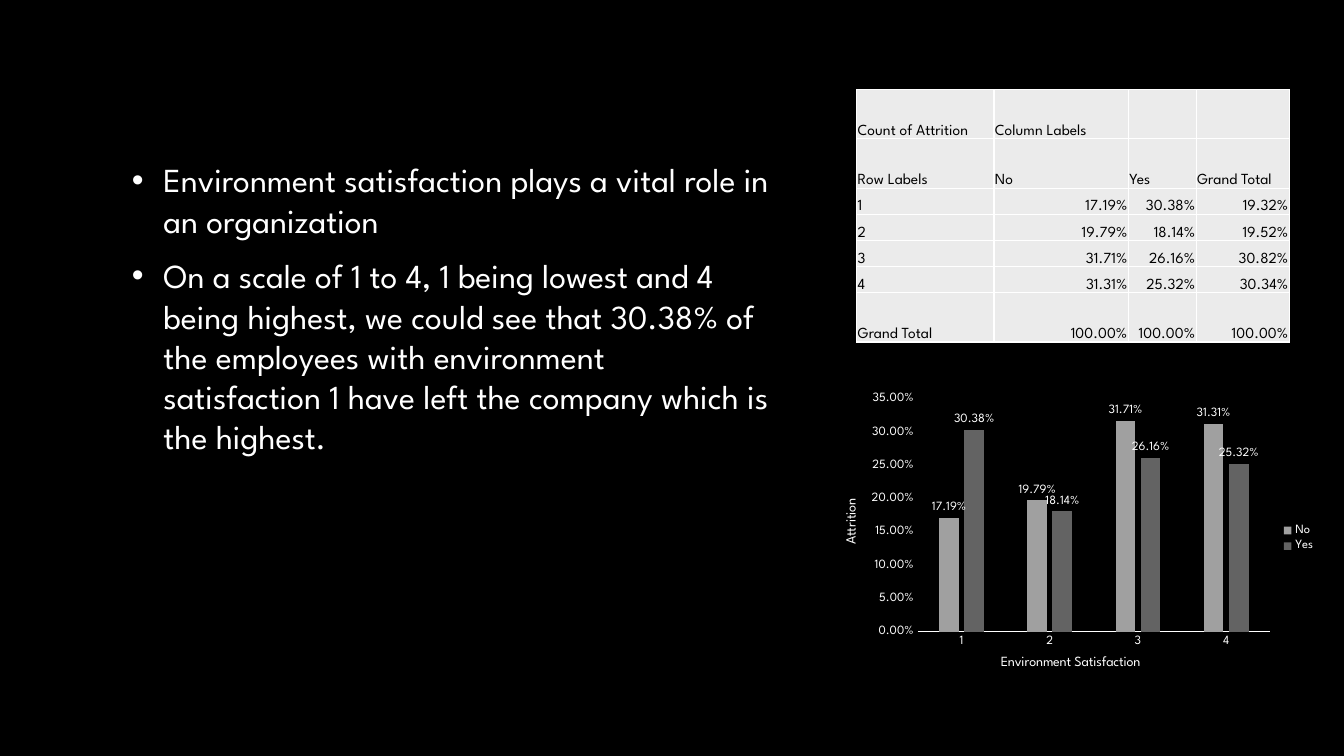
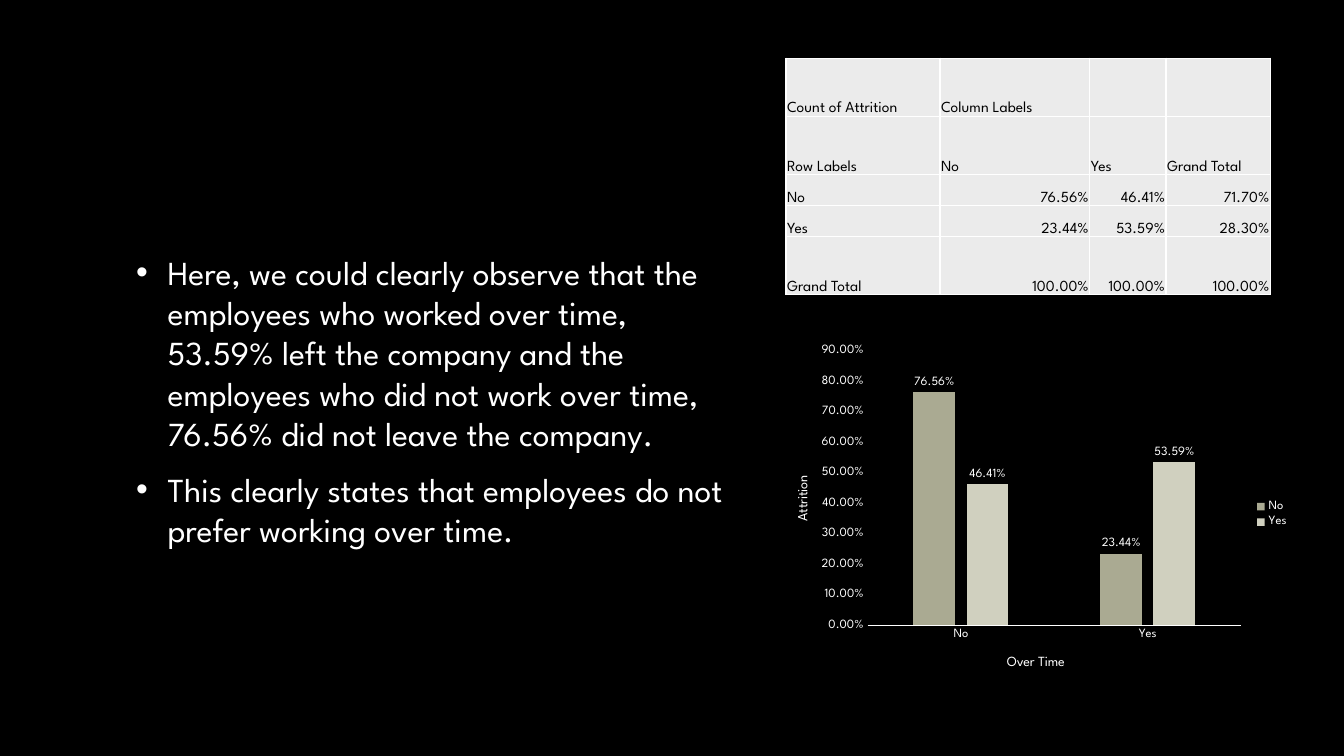
from lxml.etree import SubElement
from pptx import Presentation
from pptx.chart.data import CategoryChartData
from pptx.dml.color import RGBColor
from pptx.enum.chart import XL_CHART_TYPE as ChartType
from pptx.enum.chart import XL_LABEL_POSITION as LabelPosition
from pptx.enum.chart import XL_LEGEND_POSITION as LegendPosition
from pptx.enum.chart import XL_TICK_MARK as TickMark
from pptx.enum.text import MSO_ANCHOR as Anchor
from pptx.enum.text import MSO_AUTO_SIZE as AutoSize
from pptx.enum.text import PP_ALIGN as Align
from pptx.oxml import parse_xml
from pptx.oxml.ns import nsdecls, qn
from pptx.util import Pt

BLACK = RGBColor(0x00, 0x00, 0x00)
WHITE = RGBColor(0xFF, 0xFF, 0xFF)
CELL_GREY = RGBColor(0xEB, 0xEB, 0xEB)
MID_GREY = RGBColor(0xA0, 0xA0, 0xA0)
DARK_GREY = RGBColor(0x63, 0x63, 0x63)
OLIVE = RGBColor(0xAA, 0xAA, 0x92)
PALE_OLIVE = RGBColor(0xD0, 0xD0, 0xBF)

FONT = "League Spartan"
PERCENT = "0.00%"
ANSWERS = ("No", "Yes")


def place_in_chart(element, **fractions):
    """Fix a chart part's place as fractions of the chart frame."""
    layout = element.find(qn("c:layout"))
    if layout is None:
        layout = parse_xml(f"<c:layout {nsdecls('c')}/>")
        element.insert(0 if element.find(qn("c:tx")) is None else 1, layout)
    manual = SubElement(layout, qn("c:manualLayout"))
    if "w" in fractions:
        SubElement(manual, qn("c:layoutTarget"), val="inner")
    for side in "xy":
        SubElement(manual, qn(f"c:{side}Mode"), val="edge")
    for name, value in fractions.items():
        SubElement(manual, qn(f"c:{name}"), val=str(value))


def add_borders(cell):
    properties = cell._tc.get_or_add_tcPr()
    for side in "LRTB":
        line = SubElement(properties, qn(f"a:ln{side}"), w=str(Pt(1)))
        fill = SubElement(line, qn("a:solidFill"))
        SubElement(fill, qn("a:srgbClr"), val=str(WHITE))


class AttritionDeck:
    def __init__(self):
        self.deck = Presentation()
        self.deck.slide_width, self.deck.slide_height = Pt(960), Pt(540)
        self.slide = None

    def style(self, font, size, color=WHITE):
        font.name, font.size, font.bold = FONT, Pt(size), False
        font.color.rgb = color

    def add_slide(self):
        self.slide = self.deck.slides.add_slide(self.deck.slide_layouts[1])
        self.slide.background.fill.solid()
        self.slide.background.fill.fore_color.rgb = BLACK
        title = self.slide.shapes.title.element
        title.getparent().remove(title)

    def add_bullets(self, left, top, width, height, points):
        body = self.slide.placeholders[1]
        body.left, body.top = Pt(left), Pt(top)
        body.width, body.height = Pt(width), Pt(height)
        frame = body.text_frame
        frame.text = "\n".join(points)
        frame.auto_size = AutoSize.NONE
        frame.vertical_anchor = Anchor.MIDDLE
        for para in frame.paragraphs:
            self.style(para.font, 24)
            para.space_after = Pt(6)
            properties = para._p.get_or_add_pPr()
            properties.set("marL", str(Pt(22.5)))
            properties.set("indent", str(-Pt(22.5)))

    def add_cross_table(self, left, top, widths, tall, short, shares):
        """Add a pivot table; headings and total get tall rows, categories short ones."""
        rows = [("Count of Attrition", "Column Labels", "", ""),
                ("Row Labels", *ANSWERS, "Grand Total")]
        rows += [(label, *(f"{value:.2%}" for value in values))
                 for label, values in shares.items()]
        rows.append(("Grand Total", *["100.00%"] * 3))
        heights = [tall, tall] + [short] * len(shares) + [tall]

        table = self.slide.shapes.add_table(
            len(rows), len(widths), Pt(left), Pt(top),
            Pt(sum(widths)), Pt(sum(heights))).table
        table.first_row = table.horz_banding = False
        for column, width in zip(table.columns, widths):
            column.width = Pt(width)
        for row, height, texts in zip(table.rows, heights, rows):
            row.height = Pt(height)
            for cell, text in zip(row.cells, texts):
                self.fill_cell(cell, text)

    def fill_cell(self, cell, text):
        add_borders(cell)
        cell.fill.solid()
        cell.fill.fore_color.rgb = CELL_GREY
        cell.margin_left = cell.margin_right = cell.margin_top = Pt(0.7)
        cell.margin_bottom = 0
        cell.vertical_anchor = Anchor.BOTTOM
        cell.text = text
        para = cell.text_frame.paragraphs[0]
        para.alignment = Align.RIGHT if text.endswith("%") else Align.LEFT
        self.style(para.font, 11, BLACK)

    def add_column_chart(self, left, top, width, height, shares, colors, top_value, step,
                         plot_place, topic, topic_place, attrition_place):
        data = CategoryChartData(number_format=PERCENT)
        data.categories = list(shares)
        for index, answer in enumerate(ANSWERS):
            data.add_series(answer, [values[index] for values in shares.values()])
        chart = self.slide.shapes.add_chart(
            ChartType.COLUMN_CLUSTERED, Pt(left), Pt(top), Pt(width), Pt(height), data).chart
        self.style(chart.font, 10)
        chart.has_title = False
        chart.has_legend = True
        chart.legend.position = LegendPosition.RIGHT
        chart.legend.include_in_layout = False
        self.style(chart.legend.font, 9)

        plot = chart.plots[0]
        plot.gap_width, plot.overlap = 219, -27
        plot.vary_by_categories = False
        for series, color in zip(plot.series, colors):
            series.format.fill.solid()
            series.format.fill.fore_color.rgb = color
            labels = series.data_labels
            labels.show_value = True
            labels.position = LabelPosition.OUTSIDE_END
            labels.number_format, labels.number_format_is_linked = PERCENT, False
            self.style(labels.font, 9)

        values, categories = chart.value_axis, chart.category_axis
        values.minimum_scale, values.maximum_scale = 0, top_value
        values.major_unit = step
        values.has_major_gridlines = False
        values.tick_labels.number_format = PERCENT
        values.tick_labels.number_format_is_linked = False
        values.format.line.fill.background()
        categories.format.line.color.rgb = WHITE
        categories.format.line.width = Pt(0.75)
        self.finish_axis(categories, topic, topic_place)
        self.finish_axis(values, "Attrition", attrition_place, rotation=-90)
        plot_area = chart._chartSpace.find(".//" + qn("c:plotArea"))
        place_in_chart(plot_area, **dict(zip("xywh", plot_place)))

    def finish_axis(self, axis, text, place, rotation=0):
        axis.major_tick_mark = axis.minor_tick_mark = TickMark.NONE
        self.style(axis.tick_labels.font, 9)
        title = axis.axis_title
        title.text_frame.text = text
        self.style(title.text_frame.paragraphs[0].font, 10)
        body = title._element.find(".//" + qn("a:bodyPr"))
        body.set("rot", str(rotation * 60000))
        body.set("vert", "horz")
        place_in_chart(title._element, **dict(zip("xy", place)))


def add_satisfaction_slide(deck):
    shares = {"1": (0.1719, 0.3038, 0.1932), "2": (0.1979, 0.1814, 0.1952),
              "3": (0.3171, 0.2616, 0.3082), "4": (0.3131, 0.2532, 0.3034)}
    deck.add_slide()
    deck.add_bullets(87, -12, 470, 464, [
        "Environment satisfaction plays a vital role in an organization",
        "On a scale of 1 to 4, 1 being lowest and 4 being highest, we could see that "
        "30.38% of the employees with environment satisfaction 1 have left the company "
        "which is the highest."])
    deck.add_cross_table(612, 64, (98, 96, 48.5, 66.5), 35.2, 18.7, shares)
    deck.add_column_chart(
        587, 276.5, 360, 216, shares, (MID_GREY, DARK_GREY), 0.35, 0.05,
        plot_place=(0.19, 0.04, 0.7, 0.77), topic="Environment Satisfaction",
        topic_place=(0.35, 0.88), attrition_place=(0.04, 0.36))


def add_over_time_slide(deck):
    shares = {"No": (0.7656, 0.4641, 0.717), "Yes": (0.2344, 0.5359, 0.283)}
    deck.add_slide()
    deck.add_bullets(90, 54, 436, 464, [
        "Here, we could clearly observe that the employees who worked over time, 53.59% "
        "left the company and the employees who did not work over time, 76.56% did not "
        "leave the company.",
        "This clearly states that employees do not prefer working over time."])
    deck.add_cross_table(561.5, 41.5, (110, 107, 54.5, 74.5), 41.6, 22.2, shares)
    deck.add_column_chart(
        552, 243.5, 376, 248, shares, (OLIVE, PALE_OLIVE), 0.9, 0.1,
        plot_place=(0.18, 0.03, 0.71, 0.79), topic="Over Time",
        topic_place=(0.44, 0.9), attrition_place=(0.04, 0.38))


def main():
    deck = AttritionDeck()
    add_satisfaction_slide(deck)
    add_over_time_slide(deck)
    deck.deck.save("out.pptx")


if __name__ == "__main__":
    main()
